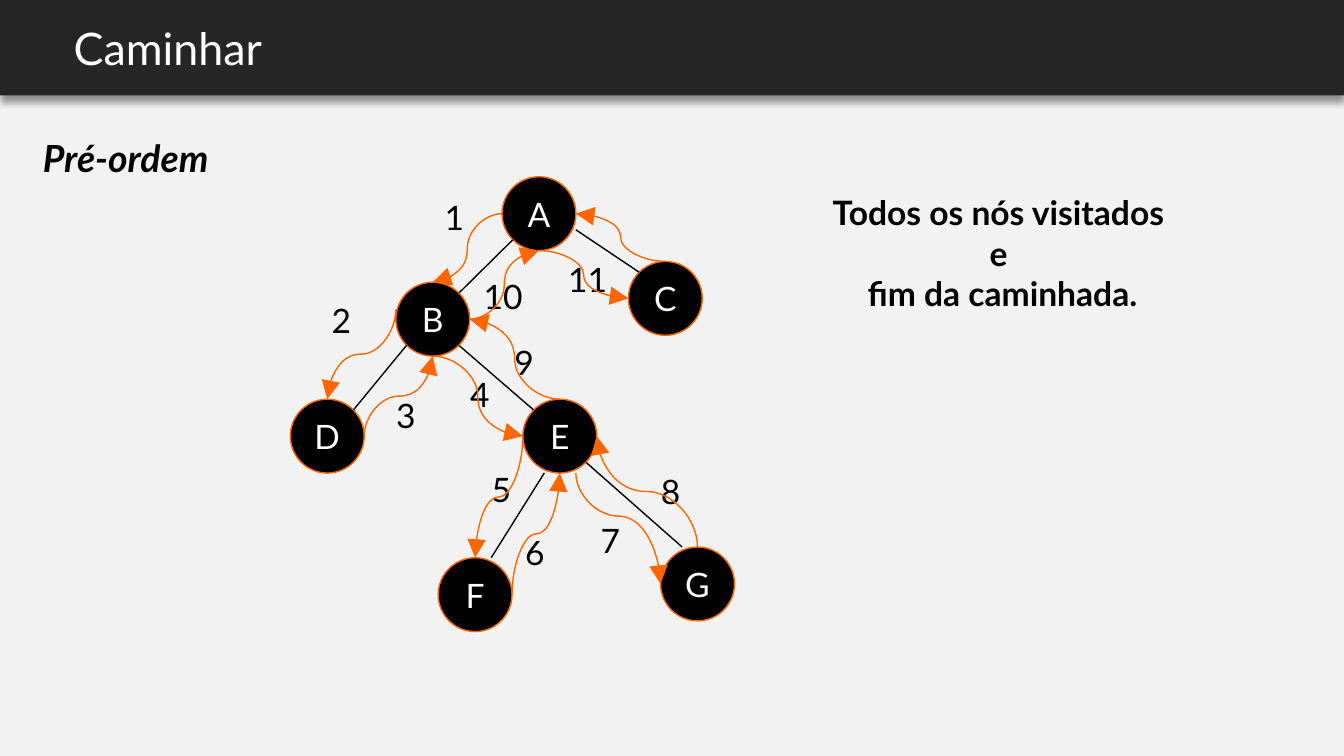
from lxml import etree
from pptx import Presentation, util as u
from pptx.dml.color import RGBColor
from pptx.enum import shapes, text
from pptx.oxml import parse_xml
from pptx.oxml.ns import nsdecls, qn

PX = 4572  # EMU in one px, 200 px to the inch
FONT = "Lato"
BLACK = RGBColor(0x00, 0x00, 0x00)
WHITE = RGBColor(0xFF, 0xFF, 0xFF)
ORANGE = RGBColor(0xFF, 0x66, 0x00)
CHARCOAL = RGBColor(0x26, 0x26, 0x26)
PALE = RGBColor(0xF2, 0xF2, 0xF2)

NODE = 110
NODES = {"A": (315, 1), "B": (157, 158), "D": (0, 332), "C": (503, 127),
         "E": (346, 332), "F": (220, 568), "G": (551, 552)}
TOP, LEFT, BOTTOM, RIGHT = (55, 0), (0, 55), (55, 110), (110, 55)

# Parent, point on it, child, point on it
EDGES = [
    ("A", (16, 94), "B", (94, 16)),
    ("B", (16, 94), "D", (94, 16)),
    ("A", (110, 79), "C", (16, 16)),
    ("B", (94, 94), "E", (16, 16)),
    ("E", (32, 110), "F", (79, 0)),
    ("E", (94, 94), "G", (32, 0)),
]

# From, point, to, point, leaves vertically, bend, label place, label width
STEPS = [
    ("A", LEFT, "B", TOP, False, 50000, (210, 21), 82),
    ("B", (0, 40), "D", TOP, True, 50000, (42, 174), 68),
    ("D", RIGHT, "B", BOTTOM, True, 50000, (138, 316), 68),
    ("B", BOTTOM, "E", LEFT, False, 50000, (248, 285), 68),
    ("E", LEFT, "F", TOP, True, 50000, (280, 426), 68),
    ("F", RIGHT, "E", BOTTOM, True, 50000, (330, 520), 68),
    ("E", (79, 110), "G", LEFT, True, 38800, (442, 502), 68),
    ("G", TOP, "E", RIGHT, True, 50000, (532, 429), 68),
    ("E", TOP, "B", RIGHT, False, 50000, (314, 237), 68),
    ("B", RIGHT, "A", BOTTOM, False, 50000, (268, 138), 118),
    ("A", BOTTOM, "C", LEFT, False, 50000, (394, 114), 146),
    ("C", TOP, "A", RIGHT, False, 50000, None, 0),
]


def emu(*lengths):
    return [u.Emu(int(length * PX)) for length in lengths]


def write(shape, lines, size, color, insets, align=text.PP_ALIGN.LEFT,
          anchor=text.MSO_ANCHOR.TOP, bold=False, italic=False):
    frame = shape.text_frame
    frame.word_wrap = True
    frame.vertical_anchor = anchor
    frame.margin_left, frame.margin_top = emu(*insets)
    frame.margin_right, frame.margin_bottom = emu(*insets)
    for index, line in enumerate(lines):
        paragraph = frame.add_paragraph() if index else frame.paragraphs[0]
        paragraph.alignment = align
        run = paragraph.add_run()
        run.text = line
        run.font.name = FONT
        run.font.size = u.Pt(size)
        run.font.color.rgb = color
        run.font.bold = bold
        run.font.italic = italic


def add_text(slide, box, lines, size, color, insets, **style):
    write(slide.shapes.add_textbox(*emu(*box)), lines, size, color, insets, **style)


def add_line(slide, kind, begin, end, color):
    connector = slide.shapes.add_connector(kind, *emu(*begin, *end))
    connector.line.color.rgb = color
    connector.line.width = u.Pt(0.75)
    etree.SubElement(connector._element.spPr, qn("a:effectLst"))
    return connector


def add_curve(slide, begin, end, vertical, bend):
    """Curved arrow; a vertical one is laid out flat and turned about its middle."""
    dx, dy = end[0] - begin[0], end[1] - begin[1]
    middle = (begin[0] + dx / 2, begin[1] + dy / 2)
    turn = 0
    if vertical:
        turn, dx, dy = (90, dy, -dx) if dx < 0 else (270, -dy, dx)
    begin = (middle[0] - dx / 2, middle[1] - dy / 2)
    end = (middle[0] + dx / 2, middle[1] + dy / 2)
    connector = add_line(slide, shapes.MSO_CONNECTOR.CURVE, begin, end, ORANGE)
    properties = connector._element.spPr
    if turn:
        properties.find(qn("a:xfrm")).set("rot", str(turn * 60000))
    adjustments = properties.find(qn("a:prstGeom")).find(qn("a:avLst"))
    etree.SubElement(adjustments, qn("a:gd"), name="adj1", fmla=f"val {bend}")
    etree.SubElement(properties.find(qn("a:ln")), qn("a:tailEnd"),
                     type="triangle", w="lg", len="lg")


def add_node(slide, box, name):
    node = slide.shapes.add_shape(shapes.MSO_SHAPE.OVAL, *emu(*box))
    node.shadow.inherit = False
    node.fill.solid()
    node.fill.fore_color.rgb = BLACK
    node.line.color.rgb = ORANGE
    node.line.width = u.Pt(0.75)
    write(node, [name], 18, WHITE, (20, 10), align=text.PP_ALIGN.CENTER,
          anchor=text.MSO_ANCHOR.MIDDLE)


def add_tree(slide, left, top):
    """Tree with its numbered walk, from its top left corner."""
    def at(name, point):
        x, y = NODES[name]
        return left + x + point[0], top + y + point[1]

    for name in NODES:
        add_node(slide, (*at(name, (0, 0)), NODE, NODE), name)
    for parent, start, child, finish in EDGES:
        add_line(slide, shapes.MSO_CONNECTOR.STRAIGHT,
                 at(parent, start), at(child, finish), BLACK)
    for number, step in enumerate(STEPS, 1):
        source, start, target, finish, vertical, bend, label, width = step
        if label:
            add_text(slide, (left + label[0], top + label[1], width, 76),
                     [str(number)], 18, BLACK, (20, 10))
        add_curve(slide, at(source, start), at(target, finish), vertical, bend)


def add_header(slide, left, top, width, height):
    bar = slide.shapes.add_shape(shapes.MSO_SHAPE.RECTANGLE,
                                 *emu(left, top, width, height))
    bar.shadow.inherit = False
    bar.fill.solid()
    bar.fill.fore_color.rgb = CHARCOAL
    bar.line.fill.background()
    bar._element.spPr.find(qn("a:effectLst")).append(parse_xml(
        f'<a:outerShdw {nsdecls("a")} blurRad="{u.Pt(4)}" dist="{u.Pt(3)}" '
        'dir="5400000" algn="t" rotWithShape="0"><a:srgbClr val="000000">'
        '<a:alpha val="40000"/></a:srgbClr></a:outerShdw>'))
    add_text(slide, (left + 90, top, width - 190, height), ["Caminhar"], 24, WHITE,
             (20, 20), anchor=text.MSO_ANCHOR.MIDDLE)


def main():
    presentation = Presentation()
    presentation.slide_width, presentation.slide_height = emu(2000, 1125)
    slide = presentation.slides.add_slide(presentation.slide_layouts[6])
    slide.background.fill.solid()
    slide.background.fill.fore_color.rgb = PALE

    add_text(slide, (44, 164, 600, 142), ["Pré-ordem"], 20, BLACK, (20, 20),
             anchor=text.MSO_ANCHOR.MIDDLE, bold=True, italic=True)
    add_tree(slide, 432, 262)
    add_text(slide, (1192, 278, 600, 196),
             ["Todos os nós visitados ", "e ", "fim da caminhada."], 18, BLACK,
             (14, 8), align=text.PP_ALIGN.CENTER, bold=True)
    add_header(slide, 0, 0, 2000, 142)
    presentation.save("out.pptx")


if __name__ == "__main__":
    main()
